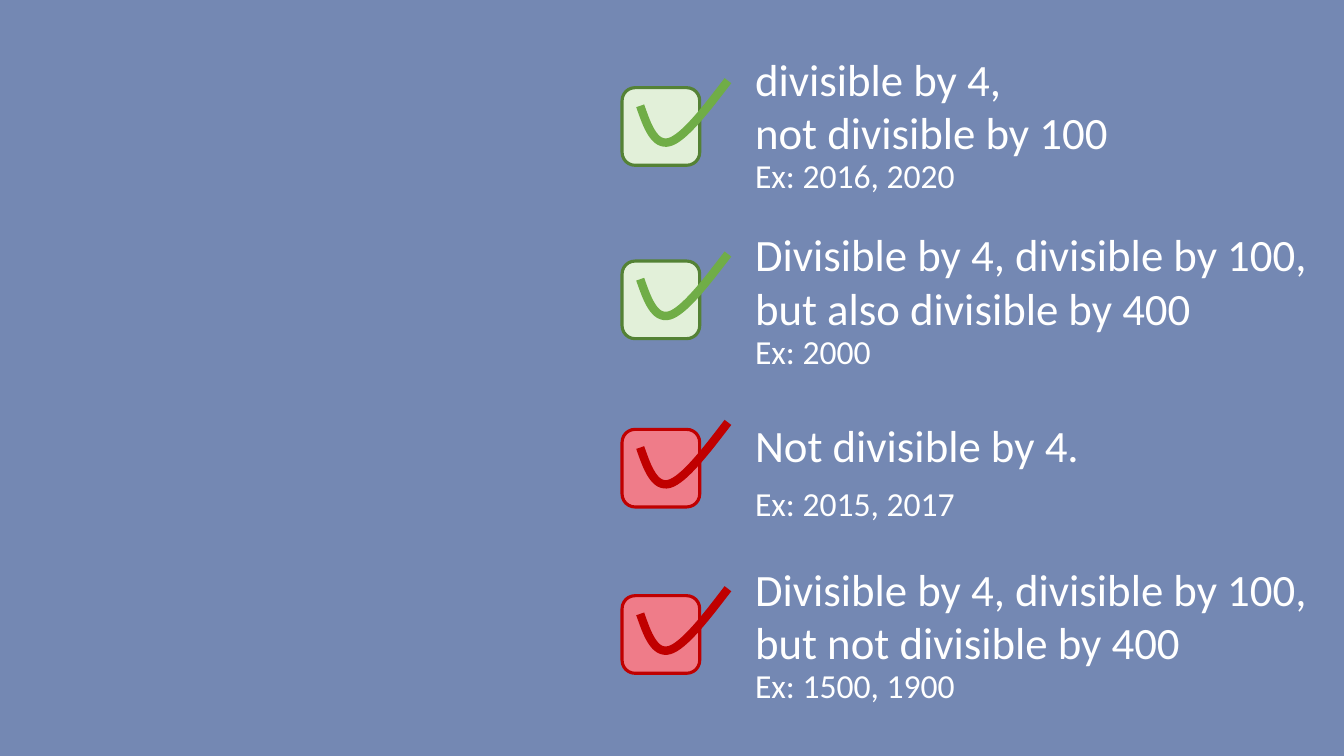
from pptx import Presentation
from pptx.dml.color import RGBColor
from pptx.enum.shapes import MSO_SHAPE
from pptx.enum.text import MSO_AUTO_SIZE
from pptx.util import Inches, Pt

# Each rule: kind, box top, lines, (text top, width, height), example, (example top, width)
RULES = [
    ("leap", 0.87, ["divisible by 4,", "not divisible by 100"], (0.46, 3.74, 1.18),
     "Ex: 2016, 2020", (1.49, 2.2)),
    ("leap", 2.59, ["Divisible by 4, divisible by 100,", "but also divisible by 400"],
     (2.2, 5.8, 1.18), "Ex: 2000", (3.23, 1.36)),
    ("common", 4.26, ["Not divisible by 4."], (4.09, 3.45, 0.64),
     "Ex: 2015, 2017", (4.74, 2.2)),
    ("common", 5.91, ["Divisible by 4, divisible by 100,", "but not divisible by 400"],
     (5.52, 5.81, 1.18), "Ex: 1500, 1900", (6.55, 2.2)),
]

THEME = {
    "background": "7488B3",
    "text": "FFFFFF",
    "font": "Calibri",
    "rule_size": 32,
    "example_size": 24,
    "leap": {"fill": "E2F0D9", "border": "548235", "tick": "70AD47"},
    "common": {"fill": "EF7C89", "border": "C00000", "tick": "C00000"},
}

BOX_LEFT, BOX_SIZE = 6.17, 0.77
TEXT_LEFT, EXAMPLE_HEIGHT = 7.39, 0.5
# Two Bezier segments of the tick, measured from the box corner
TICK_CURVES = [
    [(0.18, 0.18), (0.25, 0.38), (0.32, 0.58), (0.47, 0.54)],
    [(0.47, 0.54), (0.61, 0.5), (0.83, 0.22), (1.05, -0.07)],
]
CURVE_STEPS = 16


def color(name):
    return RGBColor.from_string(name)


def bezier_point(curve, t):
    weights = ((1 - t) ** 3, 3 * t * (1 - t) ** 2, 3 * t ** 2 * (1 - t), t ** 3)
    return tuple(sum(w * p[axis] for w, p in zip(weights, curve)) for axis in (0, 1))


def set_line(shape, line_color, width):
    shape.shadow.inherit = False
    shape.line.color.rgb = color(line_color)
    shape.line.width = Pt(width)


def add_checkbox(page, top, colors):
    box = page.shapes.add_shape(MSO_SHAPE.ROUNDED_RECTANGLE, Inches(BOX_LEFT), Inches(top),
                                Inches(BOX_SIZE), Inches(BOX_SIZE))
    box.fill.solid()
    box.fill.fore_color.rgb = color(colors["fill"])
    set_line(box, colors["border"], 2.25)

    offsets = [TICK_CURVES[0][0]] + [
        bezier_point(curve, step / CURVE_STEPS)
        for curve in TICK_CURVES for step in range(1, CURVE_STEPS + 1)
    ]
    points = [(Inches(BOX_LEFT + x), Inches(top + y)) for x, y in offsets]
    builder = page.shapes.build_freeform(*points[0])
    builder.add_line_segments(points[1:], close=False)
    tick = builder.convert_to_shape()
    tick.fill.background()
    set_line(tick, colors["tick"], 6)


def add_text(page, lines, top, width, height, size):
    box = page.shapes.add_textbox(Inches(TEXT_LEFT), Inches(top), Inches(width), Inches(height))
    frame = box.text_frame
    frame.word_wrap = False
    frame.auto_size = MSO_AUTO_SIZE.SHAPE_TO_FIT_TEXT
    frame.text = "\n".join(lines)
    for para in frame.paragraphs:
        para.font.name = THEME["font"]
        para.font.size = Pt(size)
        para.font.color.rgb = color(THEME["text"])


def main():
    deck = Presentation()
    deck.slide_width, deck.slide_height = Inches(13.33), Inches(7.5)
    page = deck.slides.add_slide(deck.slide_layouts[6])
    page.background.fill.solid()
    page.background.fill.fore_color.rgb = color(THEME["background"])

    for kind, box_top, lines, place, example, (example_top, example_width) in RULES:
        add_checkbox(page, box_top, THEME[kind])
        add_text(page, lines, *place, THEME["rule_size"])
        add_text(page, [example], example_top, example_width, EXAMPLE_HEIGHT,
                 THEME["example_size"])
    deck.save("out.pptx")


if __name__ == "__main__":
    main()
